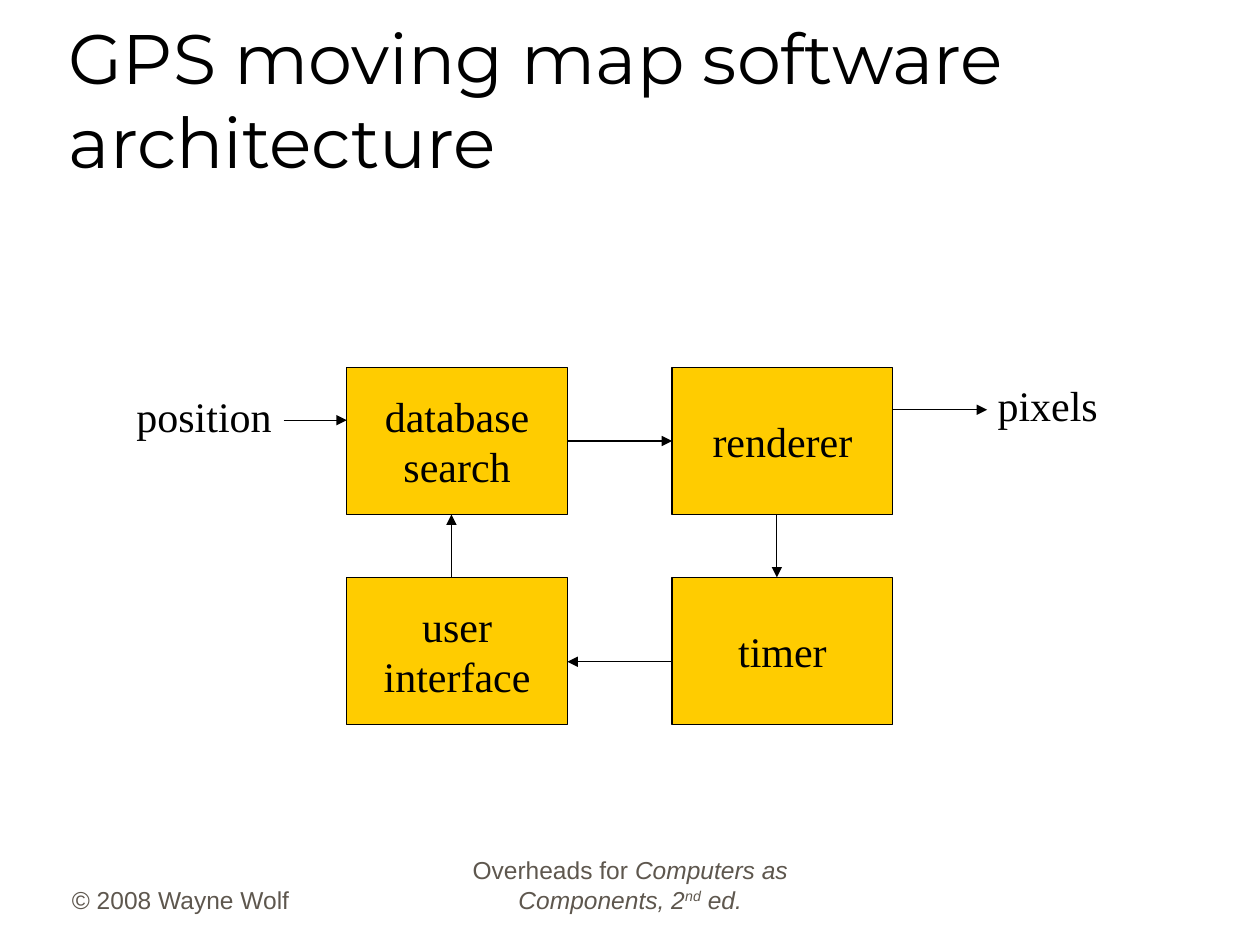
from dataclasses import dataclass

from lxml import etree
from pptx import Presentation
from pptx import util as u
from pptx.dml.color import RGBColor
from pptx.enum import shapes, text
from pptx.oxml import ns


@dataclass(frozen=True)
class Theme:
    ink = RGBColor(0x00, 0x00, 0x00)
    muted = RGBColor(0x5E, 0x57, 0x4E)
    block = RGBColor(0xFF, 0xCC, 0x00)
    title = ("Montserrat", u.Pt(40), ink)
    label = ("Times New Roman", u.Pt(24), ink)
    footer = ("Arial", u.Pt(14), muted)
    line = u.Pt(0.75)


theme = Theme()
deck = Presentation()
deck.slide_width, deck.slide_height = u.Cm(25.4), u.Cm(19.05)
page = deck.slides.add_slide(deck.slide_layouts[6])


def write(box, lines, style, align, anchor, wrap):
    frame = box.text_frame
    frame.word_wrap = wrap
    frame.vertical_anchor = anchor
    for index, line in enumerate(lines):
        para = frame.add_paragraph() if index else frame.paragraphs[0]
        para.alignment = align
        para.font.name, para.font.size, para.font.color.rgb = style
        para.add_run().text = line
    return frame


left, center = text.PP_ALIGN.LEFT, text.PP_ALIGN.CENTER
top, middle, bottom = text.MSO_ANCHOR.TOP, text.MSO_ANCHOR.MIDDLE, text.MSO_ANCHOR.BOTTOM

labels = [
    ("© 2008 Wayne Wolf", (1.2, 17.28, 5.28, 1.27), theme.footer, left, bottom, True),
    ("Overheads for ", (8.68, 17.28, 8.05, 1.27), theme.footer, center, bottom, True),
    ("GPS moving map software architecture", (1.14, 0.62, 21.59, 3.18),
     theme.title, left, bottom, True),
    ("position", (2.5, 7.75, 3.25, 1.27), theme.label, left, top, False),
    ("pixels", (19.86, 7.52, 2.6, 1.27), theme.label, left, top, False),
]
frames = {}
for words, place, style, align, anchor, wrap in labels:
    box = page.shapes.add_textbox(*map(u.Cm, place))
    frames[words] = write(box, [words], style, align, anchor, wrap)
    if not wrap:
        frames[words].auto_size = text.MSO_AUTO_SIZE.SHAPE_TO_FIT_TEXT

credit = frames["Overheads for "].paragraphs[0]
for words, raised in [("Computers as Components, 2", False), ("nd", True), (" ed.", False)]:
    span = credit.add_run()
    span.text = words
    span.font.italic = True
    if raised:
        span._r.get_or_add_rPr().set("baseline", "30000")

block_width, block_height = 4.45, 2.96
columns, rows = (6.99, 13.55), (7.41, 11.64)
blocks = [
    (["database", "search"], 0, 0),
    (["renderer"], 1, 0),
    (["timer"], 1, 1),
    (["user", "interface"], 0, 1),
]
for lines, column, row in blocks:
    box = page.shapes.add_shape(
        shapes.MSO_SHAPE.RECTANGLE, u.Cm(columns[column]), u.Cm(rows[row]),
        u.Cm(block_width), u.Cm(block_height))
    box.shadow.inherit = False
    box.fill.solid()
    box.fill.fore_color.rgb = theme.block
    box.line.color.rgb = theme.ink
    box.line.width = theme.line
    write(box, lines, theme.label, center, middle, False)

left_edge, right_edge = (column + block_width for column in columns)
upper_edge = rows[0] + block_height
arrows = [
    (5.72, 8.47, columns[0], 8.47),
    (right_edge, 8.26, 19.9, 8.26),
    (left_edge, 8.89, columns[1], 8.89),
    (15.66, upper_edge, 15.66, rows[1]),
    (columns[1], 13.34, left_edge, 13.34),
    (9.1, rows[1], 9.1, upper_edge),
]
for ends in arrows:
    arrow = page.shapes.add_connector(shapes.MSO_CONNECTOR.STRAIGHT, *map(u.Cm, ends))
    arrow.line.color.rgb = theme.ink
    arrow.line.width = theme.line
    etree.SubElement(arrow.line._get_or_add_ln(), ns.qn("a:tailEnd"), type="triangle")
    etree.SubElement(arrow._element.spPr, ns.qn("a:effectLst"))

deck.save("out.pptx")
